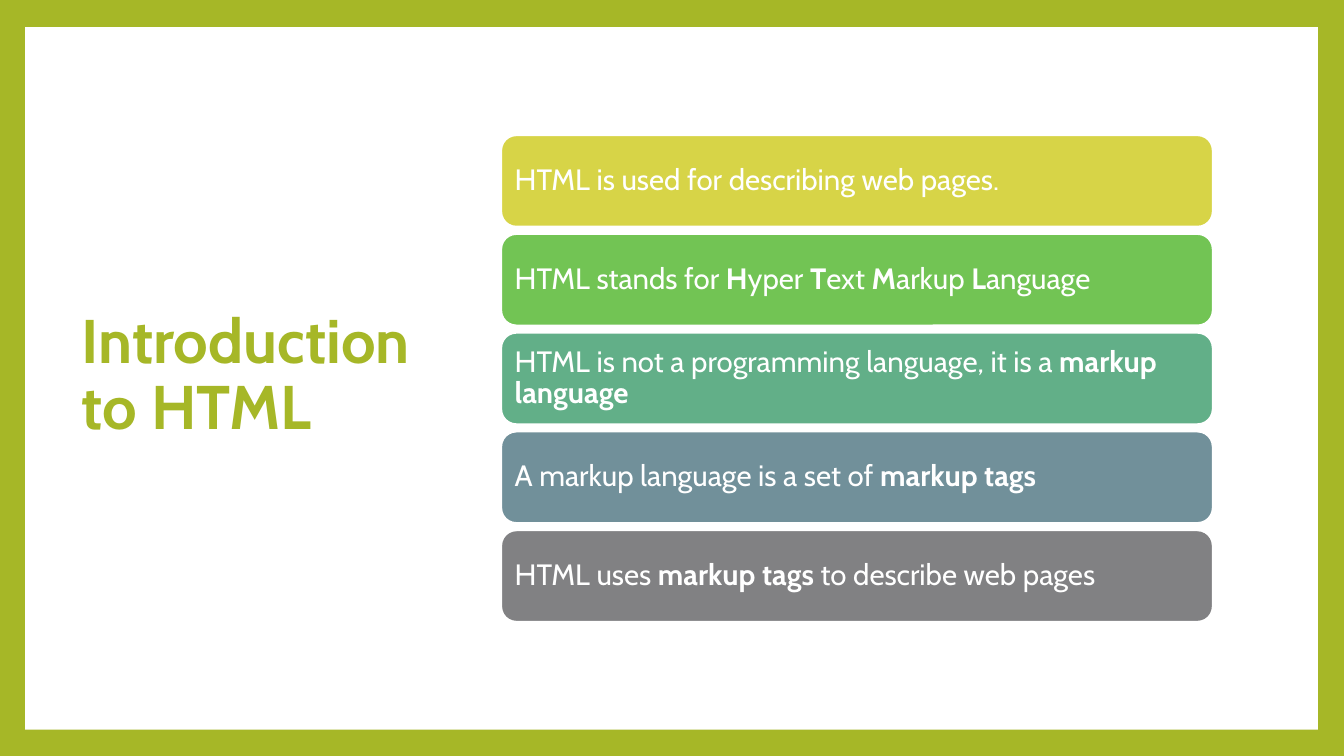
"""Build the Introduction to HTML slide: a title beside five coloured bars."""
from pptx import Presentation
from pptx import util as u
from pptx.dml.color import RGBColor
from pptx.enum import shapes, text

TITLE = "Introduction to HTML"
BARS = [
    ("D7D447", ["HTML is used for describing web pages."]),
    ("72C454", ["HTML stands for ", "H", "yper ", "T", "ext ", "M",
                "arkup ", "L", "anguage"]),
    ("62AF88", ["HTML is not a programming language, it is a ",
                "markup language"]),
    ("71909A", ["A markup language is a set of ", "markup tags"]),
    ("818183", ["HTML uses ", "markup tags", " to describe web pages"]),
]
COLORS = {"lime": "A6B727", "white": "FFFFFF"}
SIZE = (13.33, 7.5)
PANEL = (0.25, 0.27, 12.82, 6.97)
HEAD = (0.71, 0.67, 3.68, 6.13)
LEFT, TOP, WIDE, HIGH, STEP = 4.97, 1.34, 7.06, 0.91, 0.98
FRAME = {"word_wrap": True, "auto_size": text.MSO_AUTO_SIZE.NONE,
         "vertical_anchor": text.MSO_ANCHOR.MIDDLE}
SIDES = ("left", "top", "width", "height")


def apply(item, values):
    for key, value in values.items():
        setattr(item, key, value)


def paint(fill, color):
    fill.solid()
    fill.fore_color.rgb = RGBColor.from_string(color)


def add_box(slide, kind, area, color):
    box = slide.shapes.add_shape(kind, *map(u.Inches, area))
    box.shadow.inherit = False
    paint(box.fill, color)
    return box


def write(box, parts, size, color, bolds, inset):
    frame = box.text_frame
    apply(frame, FRAME)
    apply(frame, {f"margin_{side}": u.Inches(inset)
                  for side in ("left", "top", "right", "bottom")})
    para = frame.paragraphs[0]
    apply(para, {"alignment": text.PP_ALIGN.LEFT, "line_spacing": 0.9})
    for i, part in enumerate(parts):
        run = para.add_run()
        run.text = part
        apply(run.font, {"name": "Cabin", "size": u.Pt(size),
                         "bold": bolds[i % 2]})
        run.font.color.rgb = RGBColor.from_string(color)


def main():
    deck = Presentation()
    deck.slide_width, deck.slide_height = map(u.Inches, SIZE)
    slide = deck.slides.add_slide(deck.slide_layouts[5])
    paint(slide.background.fill, COLORS["lime"])

    panel = add_box(slide, shapes.MSO_SHAPE.RECTANGLE, PANEL, COLORS["white"])
    panel.line.fill.background()
    title = slide.shapes.title
    title.element.addprevious(panel.element)
    apply(title, dict(zip(SIDES, map(u.Inches, HEAD))))
    write(title, [TITLE], 44, COLORS["lime"], (True, True), 0.1)

    for row, (color, parts) in enumerate(BARS):
        area = (LEFT, TOP + row * STEP, WIDE, HIGH)
        bar = add_box(slide, shapes.MSO_SHAPE.ROUNDED_RECTANGLE, area, color)
        paint(bar.line.fill, COLORS["white"])
        bar.line.width = u.Pt(1.5)
        write(bar, parts, 21, COLORS["white"], (False, True), 0.09)

    deck.save("out.pptx")


if __name__ == "__main__":
    main()
